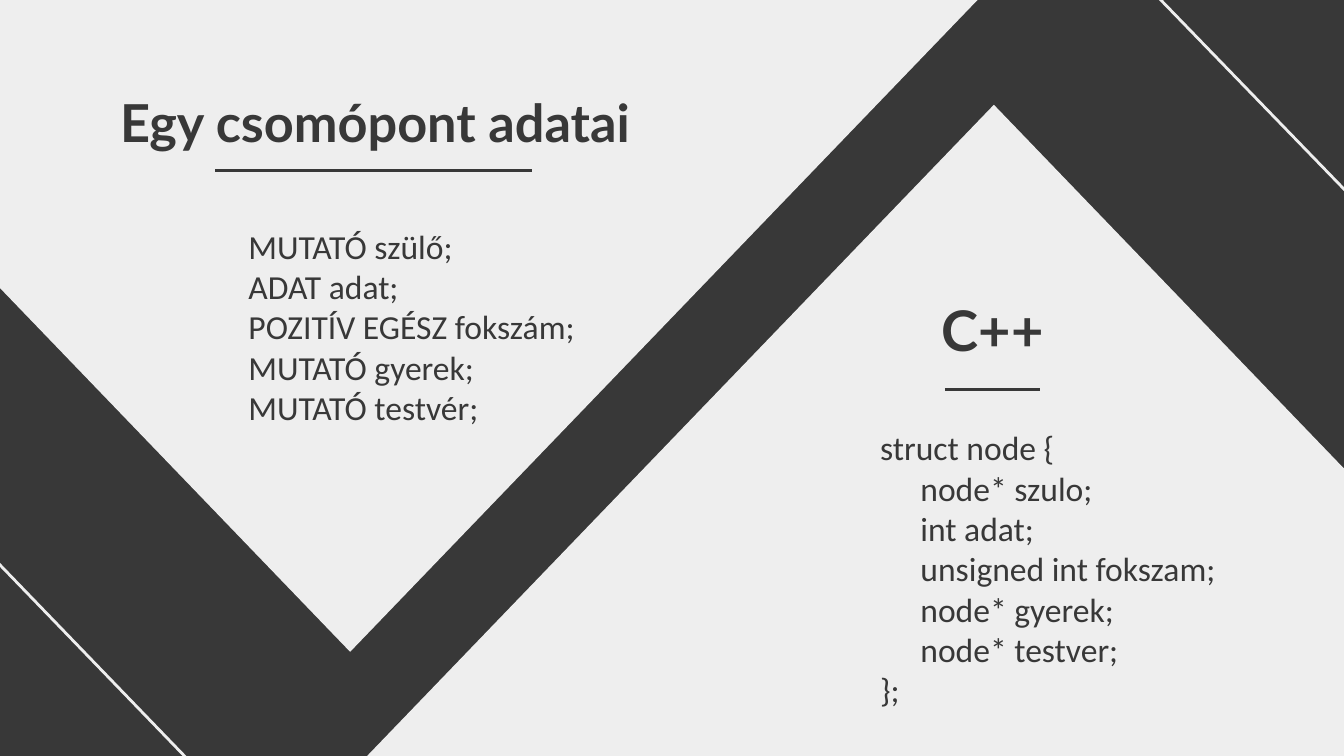
from lxml import etree
from pptx import Presentation
from pptx.dml.color import RGBColor
from pptx.enum.shapes import MSO_CONNECTOR, MSO_SHAPE
from pptx.enum.text import MSO_ANCHOR, PP_ALIGN
from pptx.oxml.ns import qn
from pptx.util import Inches, Pt

DARK = RGBColor(0x38, 0x38, 0x38)
LIGHT = RGBColor(0xEE, 0xEE, 0xEE)
TRIANGLE = MSO_SHAPE.ISOSCELES_TRIANGLE
STRAIGHT = MSO_CONNECTOR.STRAIGHT
TOP = MSO_ANCHOR.TOP
LEFT, CENTER = PP_ALIGN.LEFT, PP_ALIGN.CENTER

BASE_INDENT = 0.15
LEVEL_INDENT = 0.3

POINTER_FIELDS = [
    (0, "MUTATÓ szülő;"),
    (0, "ADAT adat;"),
    (0, "POZITÍV EGÉSZ fokszám;"),
    (0, "MUTATÓ gyerek;"),
    (0, "MUTATÓ testvér;"),
]
STRUCT_CODE = [
    (0, "struct node {"),
    (1, "node* szulo;"),
    (1, "int adat;"),
    (1, "unsigned int fokszam;"),
    (1, "node* gyerek;"),
    (1, "node* testver;"),
    (0, "};"),
]


def add_panel(slide, left, top, rotation=0):
    panel = slide.shapes.add_shape(
        TRIANGLE, Inches(left), Inches(top), Inches(9.49), Inches(4.93))
    panel.rotation = rotation
    panel.shadow.inherit = False
    panel.fill.solid()
    panel.fill.fore_color.rgb = LIGHT
    panel.line.fill.background()


def add_rule(slide, x1, y1, x2, y2, color):
    rule = slide.shapes.add_connector(
        STRAIGHT, Inches(x1), Inches(y1), Inches(x2), Inches(y2))
    rule.line.color.rgb = color
    rule.line.width = Pt(1.5)
    etree.SubElement(rule._element.spPr, qn("a:effectLst"))


def add_frame(slide, left, top, width, height):
    frame = slide.shapes.add_textbox(
        Inches(left), Inches(top), Inches(width), Inches(height)).text_frame
    frame.word_wrap = True
    frame.vertical_anchor = TOP
    frame.margin_left = frame.margin_right = Inches(0.1)
    frame.margin_top = frame.margin_bottom = Inches(0.1)
    return frame


def style_paragraph(paragraph, font_name, size, align, bold=False):
    paragraph.alignment = align
    paragraph.font.name = font_name
    paragraph.font.size = Pt(size)
    paragraph.font.bold = bold
    paragraph.font.color.rgb = DARK


def add_heading(slide, text, left, top, width, size):
    heading = add_frame(slide, left, top, width, 0.58).paragraphs[0]
    heading.text = text
    style_paragraph(heading, "Lato", size, CENTER, bold=True)


def add_listing(slide, lines, left, top, height):
    frame = add_frame(slide, left, top, 3.39, height)
    for index, (level, text) in enumerate(lines):
        line = frame.add_paragraph() if index else frame.paragraphs[0]
        line.text = text
        style_paragraph(line, "Calibri", 18, LEFT)
        properties = line._p.get_or_add_pPr()
        properties.set("marL", str(Inches(BASE_INDENT + level * LEVEL_INDENT)))
        properties.set("indent", "0")


def main():
    deck = Presentation()
    deck.slide_width = Inches(10)
    deck.slide_height = Inches(10) * 9 // 16
    slide = deck.slides.add_slide(deck.slide_layouts[6])
    slide.background.fill.solid()
    slide.background.fill.fore_color.rgb = DARK

    add_panel(slide, 2.65, 0.78)
    add_panel(slide, -2.14, -0.08, rotation=180)
    add_rule(slide, -1.5, 2.65, 1.86, 6.13, LIGHT)
    add_rule(slide, 8.57, -0.07, 11.94, 3.41, LIGHT)

    add_listing(slide, POINTER_FIELDS, 1.6, 1.58, 2.04)
    add_listing(slide, STRUCT_CODE, 6.3, 3.08, 2.17)
    add_heading(slide, "C++", 5.69, 2.1, 3.39, 30)
    add_heading(slide, "Egy csomópont adatai", -0.12, 0.57, 5.82, 28)
    add_rule(slide, 1.6, 1.27, 3.96, 1.27, DARK)
    add_rule(slide, 7.03, 2.9, 7.74, 2.9, DARK)

    deck.save("out.pptx")


if __name__ == "__main__":
    main()
